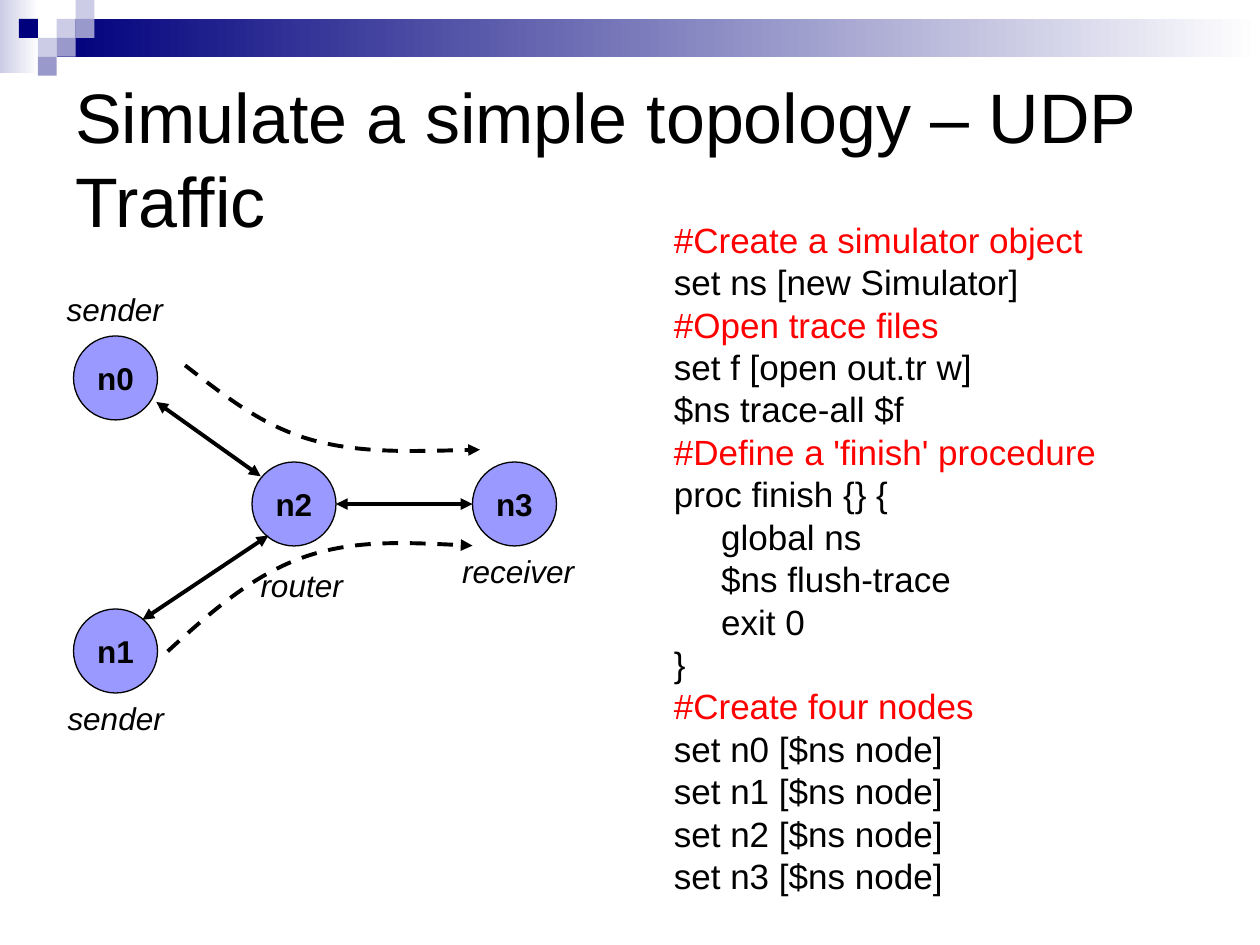
from lxml import etree
from pptx import Presentation
from pptx.dml.color import RGBColor
from pptx.enum.dml import MSO_LINE as Dash
from pptx.enum.shapes import MSO_CONNECTOR as Conn, MSO_SHAPE as Shape
from pptx.enum.text import MSO_ANCHOR as Anchor, MSO_AUTO_SIZE as AutoSize, PP_ALIGN as Align
from pptx.oxml.ns import qn
from pptx.util import Pt

BLACK = RGBColor(0x00, 0x00, 0x00)
WHITE = RGBColor(0xFF, 0xFF, 0xFF)
RED = RGBColor(0xFF, 0x00, 0x00)
NAVY = RGBColor(0x00, 0x00, 0x7D)
PALE = RGBColor(0xCC, 0xCC, 0xE6)
LILAC = RGBColor(0x99, 0x99, 0xCC)
NODE_FILL = RGBColor(0x99, 0x99, 0xFF)

CODE = """#Create a simulator object
set ns [new Simulator]
#Open trace files
set f [open out.tr w]
$ns trace-all $f
#Define a 'finish' procedure
proc finish {} {
\tglobal ns
\t$ns flush-trace
\texit 0
}
#Create four nodes
set n0 [$ns node]
set n1 [$ns node]
set n2 [$ns node]
set n3 [$ns node]"""


def pts(*values):
    return [Pt(v) for v in values]


def add_text(p, text, size, color=BLACK, **extra):
    r = p.add_run()
    r.text = text
    for name, value in dict(name="Arial", size=Pt(size), **extra).items():
        setattr(r.font, name, value)
    r.font.color.rgb = color


def add_box(s, box, wrap=True, anchor=Anchor.TOP):
    tf = s.shapes.add_textbox(*pts(*box)).text_frame
    tf.word_wrap = wrap
    tf.vertical_anchor = anchor
    return tf


def add_bar(s, box, color):
    """Rectangle without outline, in one colour."""
    sp = s.shapes.add_shape(Shape.RECTANGLE, *pts(*box))
    sp.shadow.inherit = False
    sp.line.fill.background()
    sp.fill.solid()
    sp.fill.fore_color.rgb = color
    return sp


def style_arrow(sp, ends, dash=None):
    sp.line.color.rgb = BLACK
    sp.line.width = Pt(2.25)
    if dash:
        sp.line.dash_style = dash
    ln = sp.element.spPr.find(qn("a:ln"))
    for end in ends:
        etree.SubElement(ln, qn("a:" + end), type="triangle")


def draw_banner(s, box):
    x, y, w, h = box
    unit = 10.8
    # Bars fading to white
    bars = [((x, y, 22.3, h), PALE),
            ((x + 3 * unit, y + unit, w - 3 * unit, 2 * unit), NAVY)]
    for bar, color in bars:
        fill = add_bar(s, bar, color).fill
        fill.gradient()
        fill.gradient_angle = 0
        for stop, stop_color in zip(fill.gradient_stops, (color, WHITE)):
            stop.color.rgb = stop_color
    # Squares on a grid: column, row, colour
    squares = [(3, 1, PALE), (4, 0, PALE), (4, 1, LILAC), (2, 2, PALE),
               (1, 1, NAVY), (3, 2, LILAC), (2, 3, LILAC)]
    for col, row, color in squares:
        add_bar(s, (x + col * unit, y + row * unit, unit, unit), color)


def draw_title(s, box):
    p = add_box(s, box, anchor=Anchor.MIDDLE).paragraphs[0]
    p.line_spacing = Pt(48)
    add_text(p, "Simulate a simple topology – UDP Traffic", 40)


def draw_code(s, box):
    tf = add_box(s, box)
    for i, line in enumerate(CODE.split("\n")):
        p = tf.add_paragraph() if i else tf.paragraphs[0]
        p.line_spacing = Pt(19.25)
        p.space_before = Pt(5 if i else 0)
        pPr = p._p.get_or_add_pPr()
        pPr.set("marL", str(Pt(27)))
        pPr.set("indent", str(Pt(-27)))
        add_text(p, line, 20, RED if line.startswith("#") else BLACK)


def draw_flow(s, x, y, points):
    """Dashed arrow through two Bézier segments."""
    start, *rest = [(Pt(x + px), Pt(y + py)) for px, py in points]
    fb = s.shapes.build_freeform(*start)
    fb.add_line_segments(rest, close=False)
    sp = fb.convert_to_shape()
    sp.shadow.inherit = False
    sp.fill.background()
    # Every three line points become one cubic segment
    path = next(sp.element.iter(qn("a:path")))
    lines = path.findall(qn("a:lnTo"))
    for i in range(0, len(lines), 3):
        curve = etree.SubElement(path, qn("a:cubicBezTo"))
        for line in lines[i:i + 3]:
            curve.append(line[0])
            path.remove(line)
    style_arrow(sp, ["tailEnd"], Dash.DASH)


def draw_topology(s, box):
    x, y = box[:2]
    # Nodes
    nodes = {"n0": (11, 30), "n1": (11, 186), "n2": (113, 102), "n3": (239, 102)}
    for name, (nx, ny) in nodes.items():
        sp = s.shapes.add_shape(Shape.OVAL, *pts(x + nx, y + ny, 48, 48))
        sp.shadow.inherit = False
        sp.fill.solid()
        sp.fill.fore_color.rgb = NODE_FILL
        sp.line.color.rgb = BLACK
        sp.line.width = Pt(0.75)
        tf = sp.text_frame
        tf.word_wrap = False
        tf.vertical_anchor = Anchor.MIDDLE
        tf.paragraphs[0].alignment = Align.CENTER
        add_text(tf.paragraphs[0], name, 18, bold=True)
    # Two-way links
    links = [(58.3, 67.7, 118, 110.2), (50.4, 192.2, 122.4, 144), (161, 126, 239, 126)]
    for x1, y1, x2, y2 in links:
        ends = pts(x + x1, y + y1, x + x2, y + y2)
        link = s.shapes.add_connector(Conn.STRAIGHT, *ends)
        style_arrow(link, ["headEnd", "tailEnd"])
        etree.SubElement(link.element.spPr, qn("a:effectLst"))
    # Traffic flows
    draw_flow(s, x, y, [(64.8, 210.2), (89.2, 187.9), (113.7, 166.3), (143.2, 156.2),
                        (172, 146.2), (205.2, 148.3), (239, 149.8)])
    draw_flow(s, x, y, [(74.8, 46.8), (97.2, 64.1), (118.8, 81.4), (146.8, 89.3),
                        (174.9, 97.2), (208.8, 95.8), (243.3, 95)])
    # Role labels, sized to their text
    labels = [("sender", 0, 0, 71), ("sender", 0.5, 234, 71),
              ("router", 110.8, 157.7, 63), ("receiver", 226, 149.8, 80)]
    for text, lx, ly, w in labels:
        tf = add_box(s, (x + lx, y + ly, w, 29), wrap=False)
        tf.auto_size = AutoSize.SHAPE_TO_FIT_TEXT
        add_text(tf.paragraphs[0], text, 18, italic=True)


def main():
    prs = Presentation()
    prs.slide_width, prs.slide_height = Pt(720), Pt(540)
    s = prs.slides.add_slide(prs.slide_layouts[6])
    draw_banner(s, (0, 0, 720, 41.8))
    draw_title(s, (36, 36, 648, 108))
    draw_code(s, (378, 126, 318, 390))
    draw_topology(s, (31, 162, 305, 263))
    prs.save("out.pptx")


if __name__ == "__main__":
    main()
